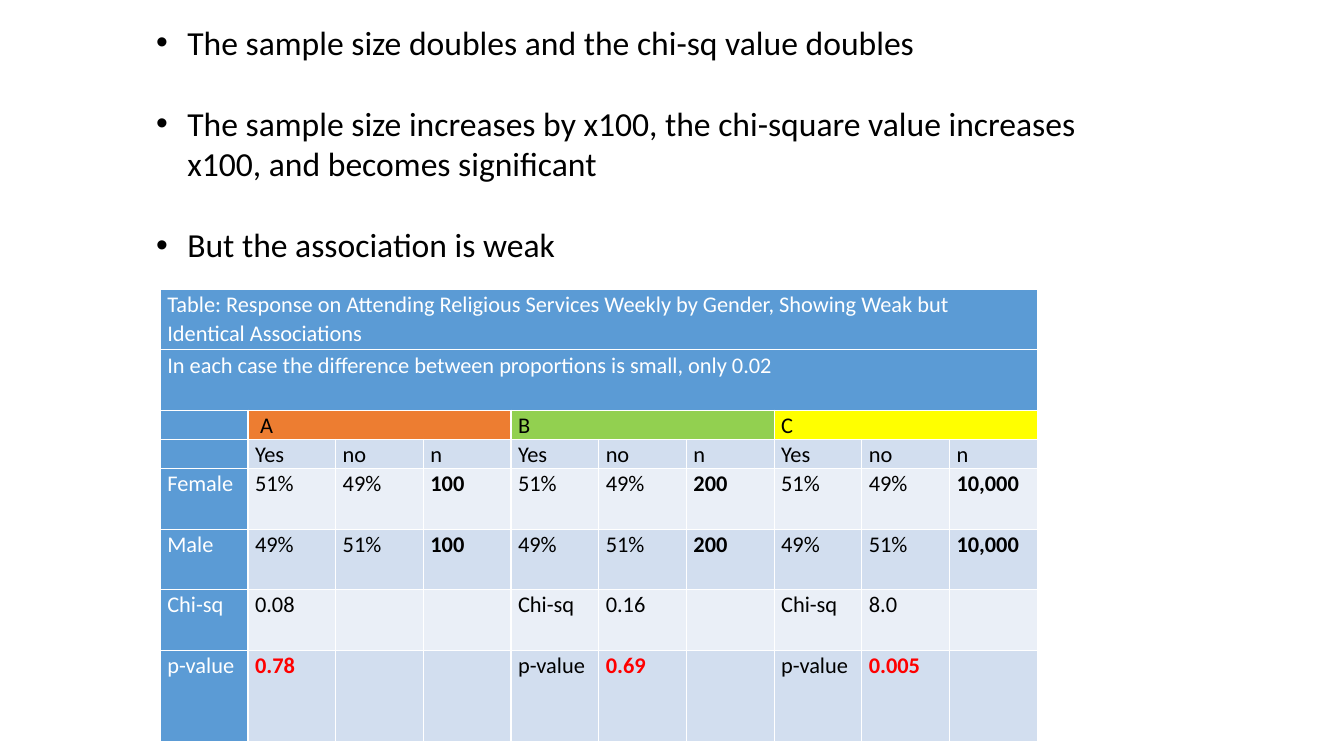
from pptx import Presentation
from pptx import util as u
from pptx.dml.color import RGBColor
from pptx.oxml import parse_xml
from pptx.oxml.ns import nsdecls

FONT = "Calibri"
WHITE, BLACK, RED = "FFFFFF", "000000", "FF0000"
HEADER, LIGHT, DARK = "5B9BD5", "EAEFF7", "D2DEEF"
GROUP_FILLS = {1: "ED7D31", 4: "92D050", 7: "FFFF00"}
BULLETS = [
    "The sample size doubles and the chi-sq value doubles",
    "The sample size increases by x100, the chi-square value increases x100, and becomes significant",
    "But the association is weak",
]
ROW_HEIGHTS = [0.6, 0.6, 0.29, 0.29, 0.6, 0.6, 0.6, 0.91]
COL_WIDTH = 0.87
ROWS = [
    ["Table: Response on Attending Religious Services Weekly by Gender, "
     "Showing Weak but Identical Associations"] + [""] * 9,
    ["In each case the difference between proportions is small, only 0.02"] + [""] * 9,
    ["", " A ", "", "", "B", "", "", "C", "", ""],
    [""] + ["Yes", "no", "n"] * 3,
    ["Female", "51%", "49%", "100", "51%", "49%", "200", "51%", "49%", "10,000"],
    ["Male", "49%", "51%", "100", "49%", "51%", "200", "49%", "51%", "10,000"],
    ["Chi-sq", "0.08", "", "", "Chi-sq", "0.16", "", "Chi-sq", "8.0", ""],
    ["p-value", "0.78", "", "", "p-value", "0.69", "", "p-value", "0.005", ""],
]


def rgb(value):
    """Turn a hex string into a colour."""
    return RGBColor.from_string(value)


def add_text(p, text, size, color=BLACK, bold=False):
    """Put one formatted run into a paragraph."""
    r = p.add_run()
    r.text = text
    r.font.name, r.font.size, r.font.bold = FONT, u.Pt(size), bold
    r.font.color.rgb = rgb(color)


def add_bullets(s, left, top, width, height, lines, size=24, gap=29):
    """Add a text box of bulleted paragraphs."""
    tf = s.shapes.add_textbox(*map(u.Inches, (left, top, width, height))).text_frame
    tf.word_wrap = True
    for i, line in enumerate(lines):
        p = tf.paragraphs[0] if i == 0 else tf.add_paragraph()
        pPr = p._p.get_or_add_pPr()
        pPr.set("marL", str(u.Inches(0.31)))
        pPr.set("indent", str(-u.Inches(0.31)))
        pPr.append(parse_xml(f'<a:buFont {nsdecls("a")} typeface="Arial"/>'))
        pPr.append(parse_xml(f'<a:buChar {nsdecls("a")} char="•"/>'))
        if i:
            p.space_before = u.Pt(gap)
        add_text(p, line, size)


def style_cell(cell, text, fill, color=BLACK, bold=False, size=16):
    """Set the borders, fill, margins and text of a cell."""
    tcPr = cell._tc.get_or_add_tcPr()
    for side in ("lnL", "lnR", "lnT", "lnB"):
        tcPr.append(parse_xml(
            f'<a:{side} {nsdecls("a")} w="{u.Pt(1)}"><a:solidFill>'
            f'<a:srgbClr val="{WHITE}"/></a:solidFill></a:{side}>'))
    cell.fill.solid()
    cell.fill.fore_color.rgb = rgb(fill)
    cell.margin_left = cell.margin_right = u.Inches(0.07)
    cell.margin_top = cell.margin_bottom = 0
    p = cell.text_frame.paragraphs[0]
    p.line_spacing = 1.07
    if text:
        add_text(p, text, size, color, bold)
    else:
        p._p.get_or_add_endParaRPr().set("sz", str(size * 100))


def cell_format(row, col):
    """Choose fill, colour and weight from the place of a cell."""
    if row < 2 or col == 0:
        return {"fill": HEADER, "color": WHITE}
    if row == 2:
        return {"fill": GROUP_FILLS[col - (col - 1) % 3]}
    p_value = row == 7 and col % 3 == 2 or (row, col) == (7, 1)
    count = row in (4, 5) and col % 3 == 0
    return {"fill": DARK if row % 2 else LIGHT,
            "color": RED if p_value else BLACK,
            "bold": p_value or count}


def add_chi_table(s, left, top):
    """Add the table of responses and test values."""
    cols = len(ROWS[0])
    sp = s.shapes.add_table(len(ROWS), cols, u.Inches(left), u.Inches(top),
                            u.Inches(COL_WIDTH * cols), u.Inches(sum(ROW_HEIGHTS)))
    table = sp.table
    for column in table.columns:
        column.width = u.Inches(COL_WIDTH)
    for i, (texts, height) in enumerate(zip(ROWS, ROW_HEIGHTS)):
        table.rows[i].height = u.Inches(height)
        for j, text in enumerate(texts):
            style_cell(table.cell(i, j), text, **cell_format(i, j))
    for i in range(2):
        table.cell(i, 0).merge(table.cell(i, cols - 1))
    for j in GROUP_FILLS:
        table.cell(2, j).merge(table.cell(2, j + 2))


def main():
    """Build and save the slide."""
    prs = Presentation()
    prs.slide_width, prs.slide_height = u.Inches(13.33), u.Inches(7.5)
    s = prs.slides.add_slide(prs.slide_layouts[6])
    add_bullets(s, 1.45, 0.17, 9.63, 2.52, BULLETS)
    add_chi_table(s, 1.59, 2.87)
    prs.save("out.pptx")


if __name__ == "__main__":
    main()
